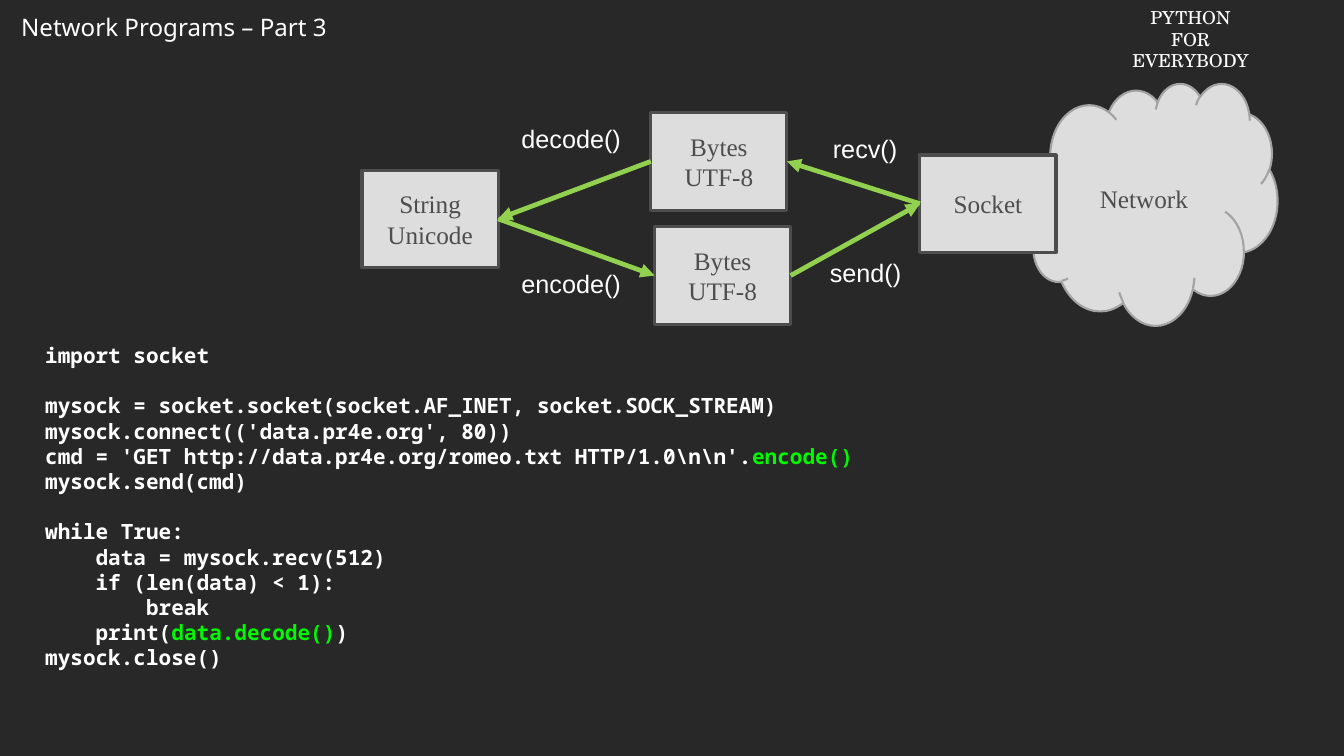
from dataclasses import dataclass

import lxml.etree
import pptx
import pptx.dml.color
import pptx.enum.shapes
import pptx.enum.text
import pptx.oxml.ns
import pptx.util

RGB = pptx.dml.color.RGBColor
DARK = RGB(0x28, 0x28, 0x28)
WHITE = RGB(0xFF, 0xFF, 0xFF)
PALE = RGB(0xDD, 0xDD, 0xDD)
GRAY = RGB(0x4D, 0x4D, 0x4D)
MIST = RGB(0xA3, 0xA3, 0xA3)
LIME = RGB(0x92, 0xD0, 0x50)
GREEN = RGB(0x00, 0xFA, 0x00)

# The slide is a grid of 177.8 columns by 100 rows
CELL = pptx.util.Inches(0.1)
COLS, ROWS = 177.8, 100

FORM = pptx.enum.shapes.MSO_SHAPE
ALIGN = pptx.enum.text.PP_ALIGN
LEFT, RIGHT = 1, 3  # connection sites of a rectangle

# Font formats
HEAD = dict(name="Noto Sans", size=pptx.util.Pt(23))
BRAND = dict(name="TeX Gyre Schola", size=pptx.util.Pt(17))
NODE = dict(name="Times New Roman", size=pptx.util.Pt(24))
CALL = dict(name="Arial", size=pptx.util.Pt(24))
CODE = dict(name="Noto Sans Mono", size=pptx.util.Pt(20), bold=True)


@dataclass
class Area:
    col: float
    row: float
    wide: float
    high: float

    def frame(self) -> list[int]:
        return [cells(n) for n in (self.col, self.row, self.wide, self.high)]


@dataclass
class Node:
    name: str
    text: str
    area: Area
    form: int = FORM.RECTANGLE
    edge: RGB = GRAY
    width: float = 3


@dataclass
class Label:
    text: str
    area: Area


@dataclass
class Arrow:
    start: str
    out: int
    end: str
    into: int


def cells(count: float) -> int:
    return round(count * CELL)


def write(para, text: str, look: dict, ink: RGB) -> None:
    run = para.add_run()
    run.text = text
    for key, value in look.items():
        setattr(run.font, key, value)
    run.font.color.rgb = ink


def fill_lines(frame, text: str, look: dict, ink: RGB, align=ALIGN.LEFT) -> None:
    for i, line in enumerate(text.split("\n")):
        para = frame.add_paragraph() if i else frame.paragraphs[0]
        para.alignment = align
        write(para, line, look, ink)


def add_text(slide, area: Area):
    frame = slide.shapes.add_textbox(*area.frame()).text_frame
    frame.word_wrap = False
    return frame


def add_node(slide, node: Node):
    shape = slide.shapes.add_shape(node.form, *node.area.frame())
    shape.shadow.inherit = False
    shape.fill.solid()
    shape.fill.fore_color.rgb = PALE
    shape.line.color.rgb = node.edge
    shape.line.width = pptx.util.Pt(node.width)
    shape.text_frame.vertical_anchor = pptx.enum.text.MSO_ANCHOR.MIDDLE
    fill_lines(shape.text_frame, node.text, NODE, GRAY, ALIGN.CENTER)
    return shape


def add_arrow(slide, arrow: Arrow, shapes: dict) -> None:
    link = slide.shapes.add_connector(
        pptx.enum.shapes.MSO_CONNECTOR.STRAIGHT, 0, 0, 0, 0)
    link.begin_connect(shapes[arrow.start], arrow.out)
    link.end_connect(shapes[arrow.end], arrow.into)
    link.line.color.rgb = LIME
    link.line.width = pptx.util.Pt(4.5)
    qn = pptx.oxml.ns.qn
    props = link._element.spPr
    tip = lxml.etree.SubElement(props.find(qn("a:ln")), qn("a:tailEnd"))
    tip.set("type", "triangle")
    lxml.etree.SubElement(props, qn("a:effectLst"))


def add_code(slide, area: Area, blocks: list) -> None:
    """Each block is a list of lines; each line a list of parts.

    Every second part of a line is highlighted.
    """
    frame = add_text(slide, area)
    para = frame.paragraphs[0]
    for b, block in enumerate(blocks):
        for i, parts in enumerate(block):
            if b or i:
                para = frame.add_paragraph()
            if b and not i:
                para.space_before = pptx.util.Pt(24)
            for n, part in enumerate(parts):
                write(para, part, CODE, GREEN if n % 2 else WHITE)


def box(name: str, text: str, col: float, row: float) -> Node:
    return Node(name, text, Area(col, row, 18, 12.9))


NODES = [
    Node("net", "Network", Area(136, 11, 33, 32), FORM.CLOUD, MIST, 2),
    box("sock", "Socket", 121.7, 20.5),
    box("in", "Bytes\nUTF-8", 86.1, 14.9),
    box("str", "String\nUnicode", 47.9, 22.5),
    box("out", "Bytes\nUTF-8", 86.6, 30),
]
ARROWS = [
    Arrow("str", RIGHT, "out", LEFT),
    Arrow("sock", LEFT, "in", RIGHT),
    Arrow("out", RIGHT, "sock", LEFT),
    Arrow("in", LEFT, "str", RIGHT),
]
LABELS = [
    Label("recv()", Area(109.2, 17.2, 10.6, 5)),
    Label("decode()", Area(68, 15.8, 15.3, 5)),
    Label("encode()", Area(68, 35, 15.3, 5)),
    Label("send()", Area(108.8, 33.6, 11.6, 5)),
]
BLOCKS = [
    [["import socket"]],
    [
        ["mysock = socket.socket(socket.AF_INET, socket.SOCK_STREAM)"],
        ["mysock.connect(('data.pr4e.org', 80))"],
        [r"cmd = 'GET http://data.pr4e.org/romeo.txt HTTP/1.0\n\n'.", "encode()"],
        ["mysock.send(cmd)"],
    ],
    [
        ["while True:"],
        ["    data = mysock.recv(512)"],
        ["    if (len(data) < 1):"],
        ["        break"],
        ["    print(", "data.decode()", ")"],
        ["mysock.close()"],
    ],
]


def main() -> None:
    deck = pptx.Presentation()
    deck.slide_width, deck.slide_height = cells(COLS), cells(ROWS)
    slide = deck.slides.add_slide(deck.slide_layouts[6])
    slide.background.fill.solid()
    slide.background.fill.fore_color.rgb = DARK

    # Header and course name
    fill_lines(add_text(slide, Area(1.8, 1.2, 43.8, 4.9)),
               "Network Programs – Part 3", HEAD, WHITE)
    course = add_text(slide, Area(148.8, 0.4, 17.4, 6.7))
    course.word_wrap = True
    course.margin_left = course.margin_right = cells(0.8)
    fill_lines(course, "PYTHON FOR\nEVERYBODY", BRAND, WHITE, ALIGN.CENTER)

    # Diagram
    shapes = {node.name: add_node(slide, node) for node in NODES}
    for arrow in ARROWS:
        add_arrow(slide, arrow, shapes)
    for label in LABELS:
        fill_lines(add_text(slide, label.area), label.text, CALL, WHITE)

    # Program
    add_code(slide, Area(5, 44.8, 109.7, 44.8), BLOCKS)
    deck.save("out.pptx")


if __name__ == "__main__":
    main()
